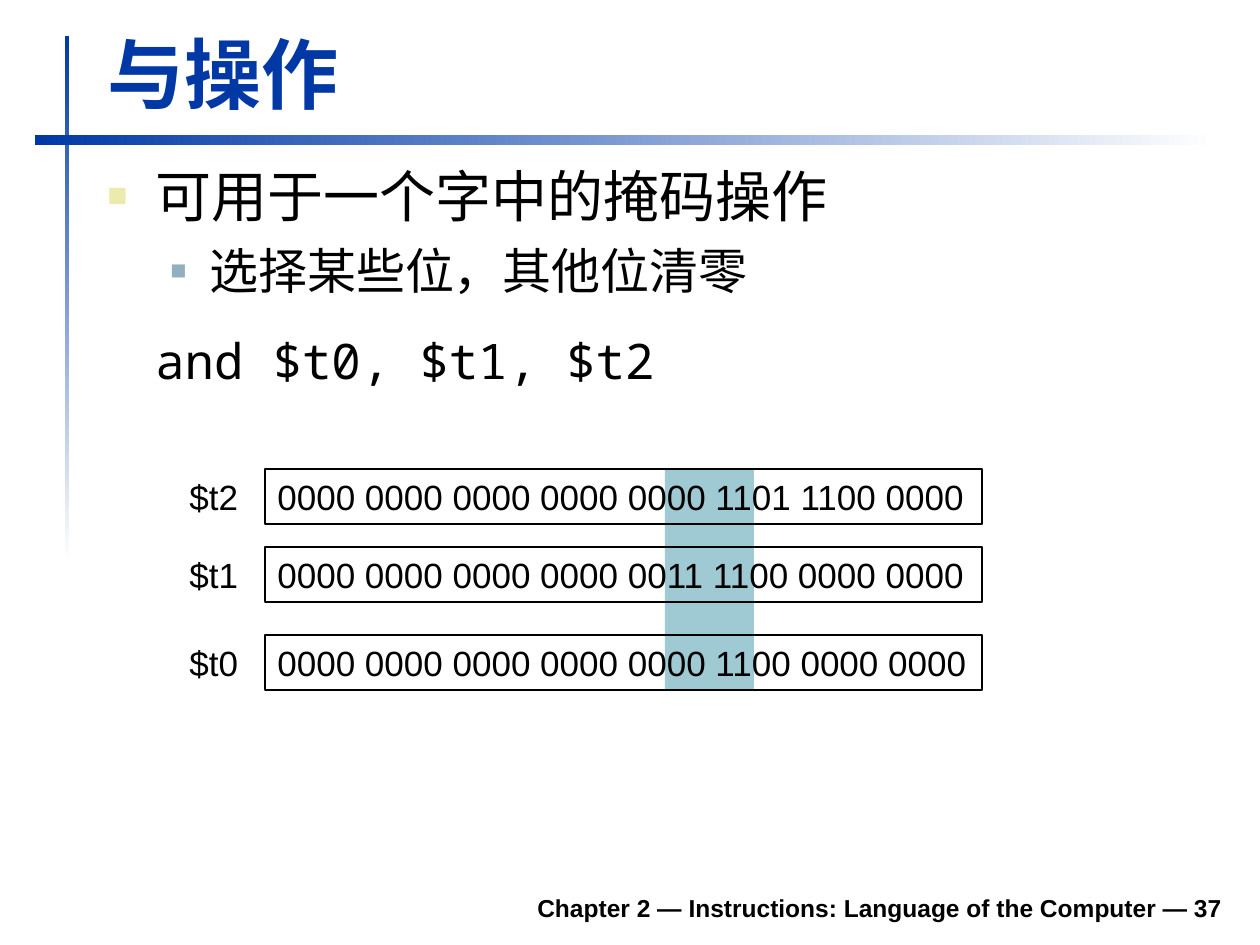
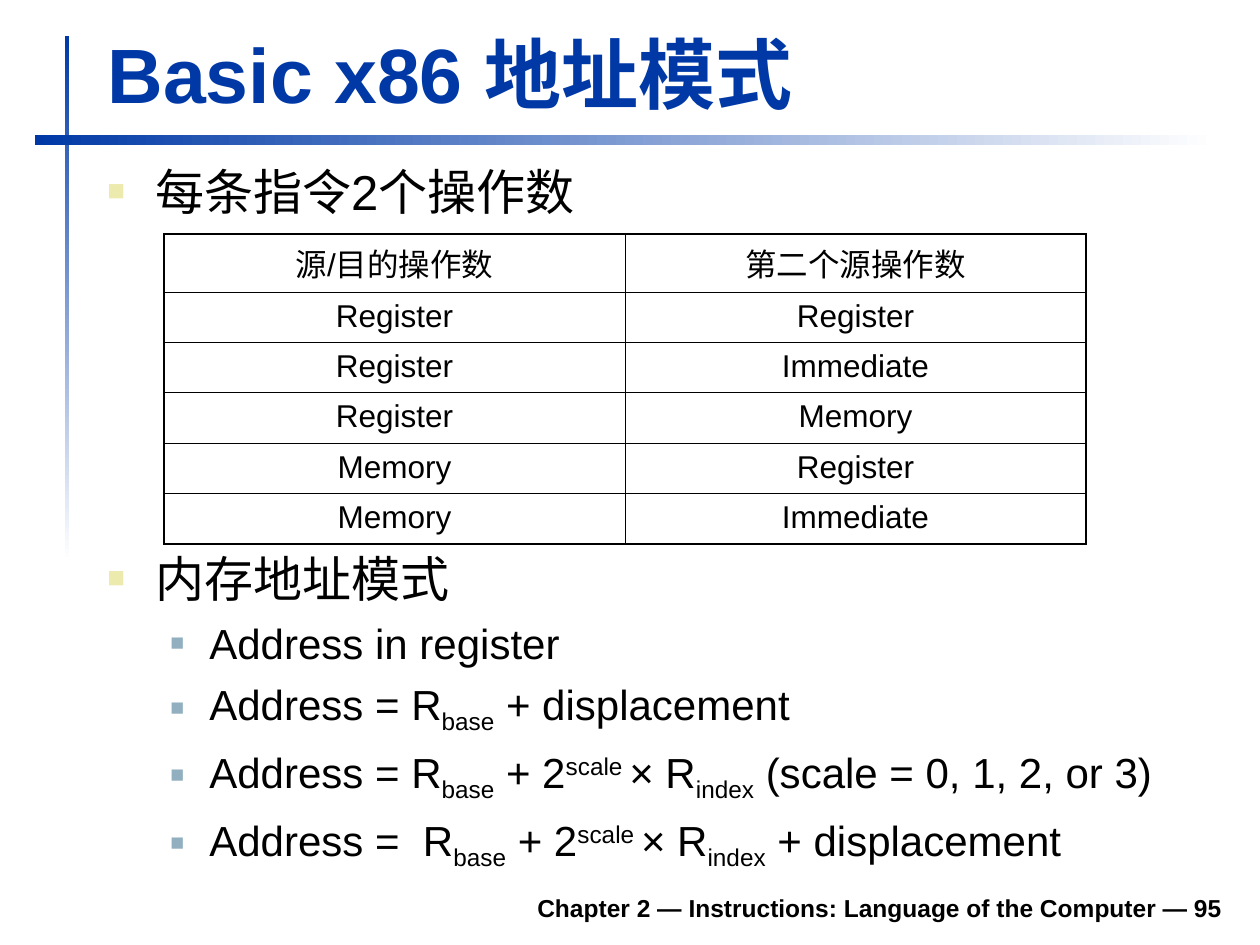
from lxml import etree
from pptx import Presentation, util as u
from pptx.dml.color import RGBColor
from pptx.enum import shapes, text
from pptx.oxml.ns import qn

PX = 914400 / 126
FONT, MONO = "Arial", "Noto Sans Mono"
HUES = {"blue": "0039A6", "white": "FFFFFF", "black": "000000",
        "mask": "9FCAD3", "sand": "ECEAAC", "steel": "91AFBF"}
RGB = {name: RGBColor.from_string(h) for name, h in HUES.items()}
# left margin, first-line indent, bullet colour, bullet size in percent
MARKS = {"top": (48, -48, "sand", 60), "sub": (102, -39, "steel", 55),
         "code": (48, 0, None, 0), "plain": (0, 0, None, 0)}
SHIFTS = {"_": "-25000", "^": "30000"}


def px(*vals):
    return [u.Emu(round(v * PX)) for v in vals]


def write(shape, lines, hue="black", bold=False, wrap=True,
          align=text.PP_ALIGN.LEFT, anchor=text.MSO_ANCHOR.TOP):
    """Fill a shape with (mark, size, space before, text) lines.

    Bars split a text into runs; a leading _ or ^ lowers or raises a run.
    """
    frame = shape.text_frame
    frame.word_wrap = wrap
    frame.auto_size = text.MSO_AUTO_SIZE.NONE
    frame.vertical_anchor = anchor
    for i, (mark, size, gap, words) in enumerate(lines):
        para = frame.add_paragraph() if i else frame.paragraphs[0]
        para.alignment = align
        para.space_before = u.Pt(gap)
        left, dent, tint, pct = MARKS[mark]
        para.level = 1 if mark == "sub" else 0
        props = para._p.get_or_add_pPr()
        props.set("marL", str(px(left)[0]))
        props.set("indent", str(px(dent)[0]))
        if tint:
            color = etree.SubElement(props, qn("a:buClr"))
            etree.SubElement(color, qn("a:srgbClr"), val=HUES[tint])
            etree.SubElement(props, qn("a:buSzPct"), val=f"{pct}000")
            etree.SubElement(props, qn("a:buFont"), typeface=FONT)
            etree.SubElement(props, qn("a:buChar"), char="■")
        for part in words.split("|"):
            run = para.add_run()
            run.text = part.lstrip("_^")
            run.font.name = MONO if mark == "code" else FONT
            run.font.size = u.Pt(size)
            run.font.bold = bold
            run.font.color.rgb = RGB[hue]
            if part[0] in SHIFTS:
                run._r.get_or_add_rPr().set("baseline", SHIFTS[part[0]])


deck = Presentation()
deck.slide_width, deck.slide_height = px(1260, 945)
rect = shapes.MSO_SHAPE.RECTANGLE

# Shared frame: fading bars, title and footer
pages = []
for name, num in (("与操作", 37), ("Basic x86 地址模式", 95)):
    page = deck.slides.add_slide(deck.slide_layouts[5])
    pages.append(page)
    for place, angle in (((65, 36, 4, 525), 270), ((35, 135, 1180, 10), 0)):
        bar = page.shapes.add_shape(rect, *px(*place))
        bar.shadow.inherit = False
        bar.line.fill.background()
        bar.fill.gradient()
        bar.fill.gradient_angle = angle
        for stop, hue in zip(bar.fill.gradient_stops, ("blue", "white")):
            stop.color.rgb = RGB[hue]
    title = page.shapes.title
    title.left, title.top, title.width, title.height = px(95, 20, 1138, 105)
    write(title, [("plain", 44, 0, name)], hue="blue", bold=True,
          anchor=text.MSO_ANCHOR.BOTTOM)
    foot = page.shapes.add_textbox(*px(233, 880, 1002, 49))
    note = f"Chapter 2 — Instructions: Language of the Computer — {num}"
    write(foot, [("plain", 14, 0, note)], bold=True,
          align=text.PP_ALIGN.RIGHT, anchor=text.MSO_ANCHOR.BOTTOM)

# AND operation: the mask band lies behind three register rows
page = pages[0]
band = page.shapes.add_shape(rect, *px(665, 470, 89, 221))
band.shadow.inherit = False
band.fill.solid()
band.fill.fore_color.rgb = RGB["mask"]
band.line.fill.background()

body = page.shapes.add_textbox(*px(95, 155, 1139, 286))
write(body, [("top", 32, 0, "可用于一个字中的掩码操作"),
             ("sub", 28, 7, "选择某些位，其他位清零"),
             ("code", 28, 17.5, "and $t0, $t1, $t2")])

for top, reg, bits in (
        (469, "$t2", "0000 0000 0000 0000 0000 1101 1100 0000"),
        (547, "$t1", "0000 0000 0000 0000 0011 1100 0000 0000"),
        (635, "$t0", "0000 0000 0000 0000 0000 1100 0000 0000")):
    label = page.shapes.add_textbox(*px(177, top, 73, 55))
    write(label, [("plain", 20, 0, reg)], wrap=False)
    box = page.shapes.add_shape(rect, *px(265, top, 717, 55))
    box.shadow.inherit = False
    box.fill.background()
    box.line.color.rgb = RGB["black"]
    box.line.width = u.Pt(0.75)
    write(box, [("plain", 20, 0, bits)], wrap=False)

# x86 addressing modes: operand table between two lists
page = pages[1]
head = page.shapes.add_textbox(*px(95, 155, 1139, 89))
write(head, [("top", 28, 0, "每条指令2个操作数")])

pairs = [("源/目的操作数", "第二个源操作数"),
         ("Register", "Register"), ("Register", "Immediate"),
         ("Register", "Memory"), ("Memory", "Register"),
         ("Memory", "Immediate")]
rows, cols = len(pairs), len(pairs[0])
grid = page.shapes.add_table(rows, cols, *px(164, 234, 922, 302)).table
grid.first_row = grid.horz_banding = False
for r, pair in enumerate(pairs):
    for c, word in enumerate(pair):
        cell = grid.cell(r, c)
        props = cell._tc.get_or_add_tcPr()
        for side, outer in (("L", c == 0), ("R", c == cols - 1),
                            ("T", r == 0), ("B", r == rows - 1)):
            wide = u.Pt(1.08 if outer else 0.45)
            edge = etree.SubElement(props, qn(f"a:ln{side}"), w=str(wide))
            fill = etree.SubElement(edge, qn("a:solidFill"))
            etree.SubElement(fill, qn("a:srgbClr"), val=HUES["black"])
        cell.fill.background()
        para = cell.text_frame.paragraphs[0]
        para.text = word
        para.alignment = text.PP_ALIGN.CENTER
        font = para.runs[0].font
        font.name, font.size = FONT, u.Pt(18)
        font.color.rgb = RGB["black"]

modes = ["Address in register",
         "Address = R|_base| + displacement",
         "Address = R|_base| + 2|^scale |× R|_index| (scale = 0, 1, 2, or 3)",
         "Address =  R|_base| + 2|^scale |× R|_index| + displacement"]
tail = page.shapes.add_textbox(*px(95, 542, 1139, 318))
write(tail, [("top", 28, 0, "内存地址模式")]
      + [("sub", 24, 6, mode) for mode in modes])

deck.save("out.pptx")
